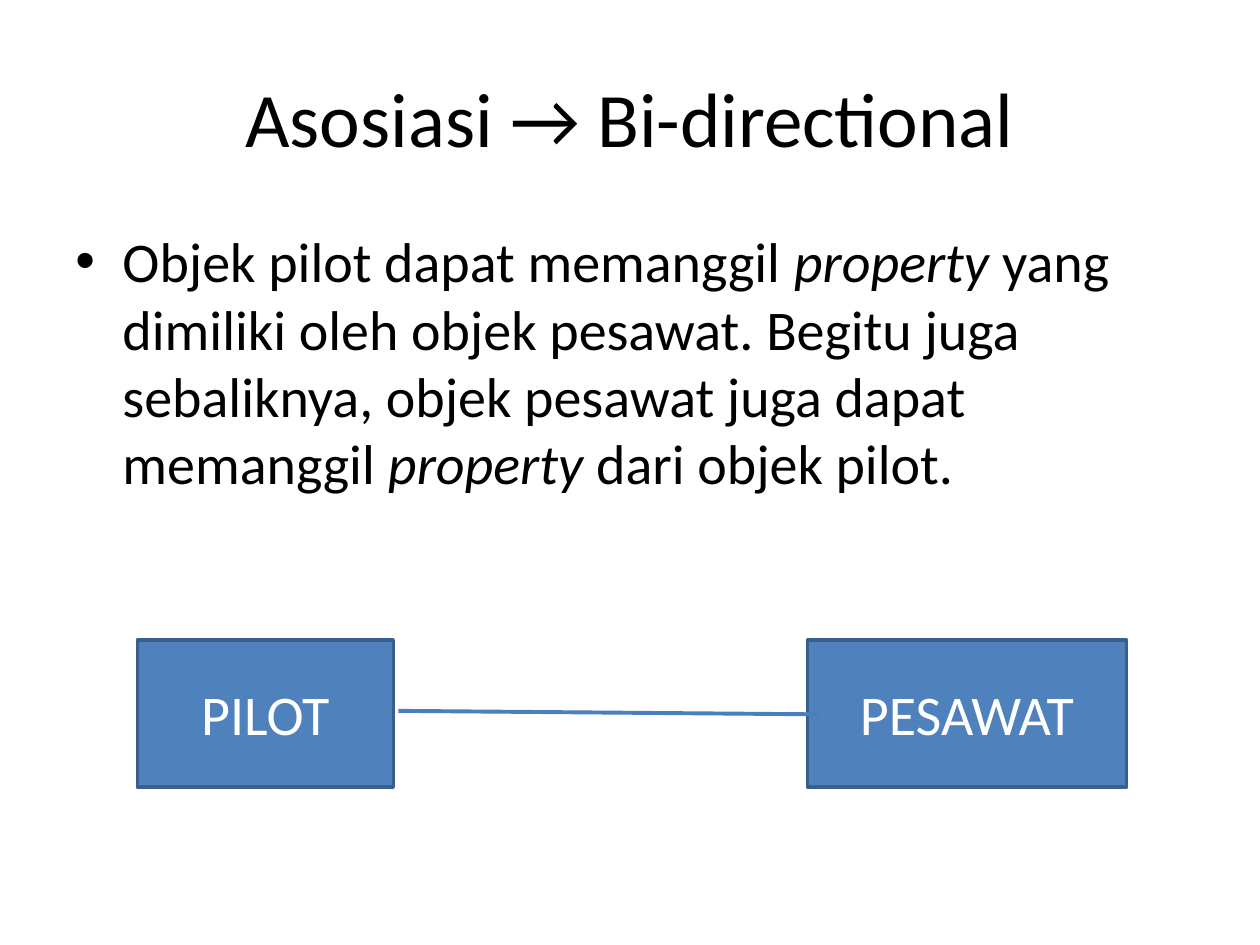
from dataclasses import dataclass

from lxml import etree
from pptx import Presentation
from pptx import util as u
from pptx.dml.color import RGBColor
from pptx.enum import shapes, text
from pptx.oxml.ns import qn


@dataclass(frozen=True)
class Theme:
    font: str = "Calibri"
    ink: str = "000000"
    light: str = "FFFFFF"
    box: str = "4F81BD"
    edge: str = "3A5F8C"
    link: str = "4B7EBC"
    title_size: int = 44
    body_size: int = 32


theme = Theme()


def add_text(p, content, size=theme.body_size, color=theme.ink, italic=False,
             align=text.PP_ALIGN.CENTER):
    p.alignment = align
    r = p.add_run()
    r.text = content
    r.font.name = theme.font
    r.font.size = u.Pt(size)
    r.font.italic = italic
    r.font.color.rgb = RGBColor.from_string(color)


prs = Presentation()
prs.slide_width, prs.slide_height = u.Cm(25.4), u.Cm(19.05)
s = prs.slides.add_slide(prs.slide_layouts[5])

title = s.shapes.title
title.left, title.top, title.width, title.height = u.Cm(1.27), u.Cm(0.76), u.Cm(22.86), u.Cm(3.18)
title.text_frame.vertical_anchor = text.MSO_ANCHOR.MIDDLE
add_text(title.text_frame.paragraphs[0], "Asosiasi → Bi-directional", size=theme.title_size)

body = s.shapes.add_textbox(u.Cm(1.27), u.Cm(4.45), u.Cm(22.86), u.Cm(12.57))
tf = body.text_frame
tf.word_wrap = True
p = tf.paragraphs[0]
p.space_before = u.Pt(0.2 * theme.body_size)
for content, italic in [
    ("Objek pilot dapat memanggil ", False),
    ("property ", True),
    ("yang dimiliki oleh objek pesawat. Begitu juga sebaliknya, "
     "objek pesawat juga dapat memanggil ", False),
    ("property ", True),
    ("dari objek pilot.", False),
]:
    add_text(p, content, italic=italic, align=text.PP_ALIGN.LEFT)
pPr = p._p.get_or_add_pPr()
indent = u.Cm(0.95)
pPr.set("marL", str(indent))
pPr.set("indent", str(-indent))
etree.SubElement(pPr, qn("a:buFont")).set("typeface", "Arial")
etree.SubElement(pPr, qn("a:buChar")).set("char", "•")

for name, left, width in [("PILOT", 2.77, 5.16), ("PESAWAT", 16.28, 6.43)]:
    sp = s.shapes.add_shape(shapes.MSO_SHAPE.RECTANGLE, u.Cm(left), u.Cm(12.9), u.Cm(width), u.Cm(2.97))
    sp.shadow.inherit = False
    sp.fill.solid()
    sp.fill.fore_color.rgb = RGBColor.from_string(theme.box)
    sp.line.color.rgb = RGBColor.from_string(theme.edge)
    sp.line.width = u.Pt(2)
    sp.text_frame.vertical_anchor = text.MSO_ANCHOR.MIDDLE
    add_text(sp.text_frame.paragraphs[0], name, color=theme.light)

link = s.shapes.add_connector(shapes.MSO_CONNECTOR.STRAIGHT, u.Cm(8.03), u.Cm(14.33), u.Cm(16.51), u.Cm(14.4))
link.line.color.rgb = RGBColor.from_string(theme.link)
link.line.width = u.Pt(2.25)
etree.SubElement(link._element.spPr, qn("a:effectLst"))

prs.save("out.pptx")
